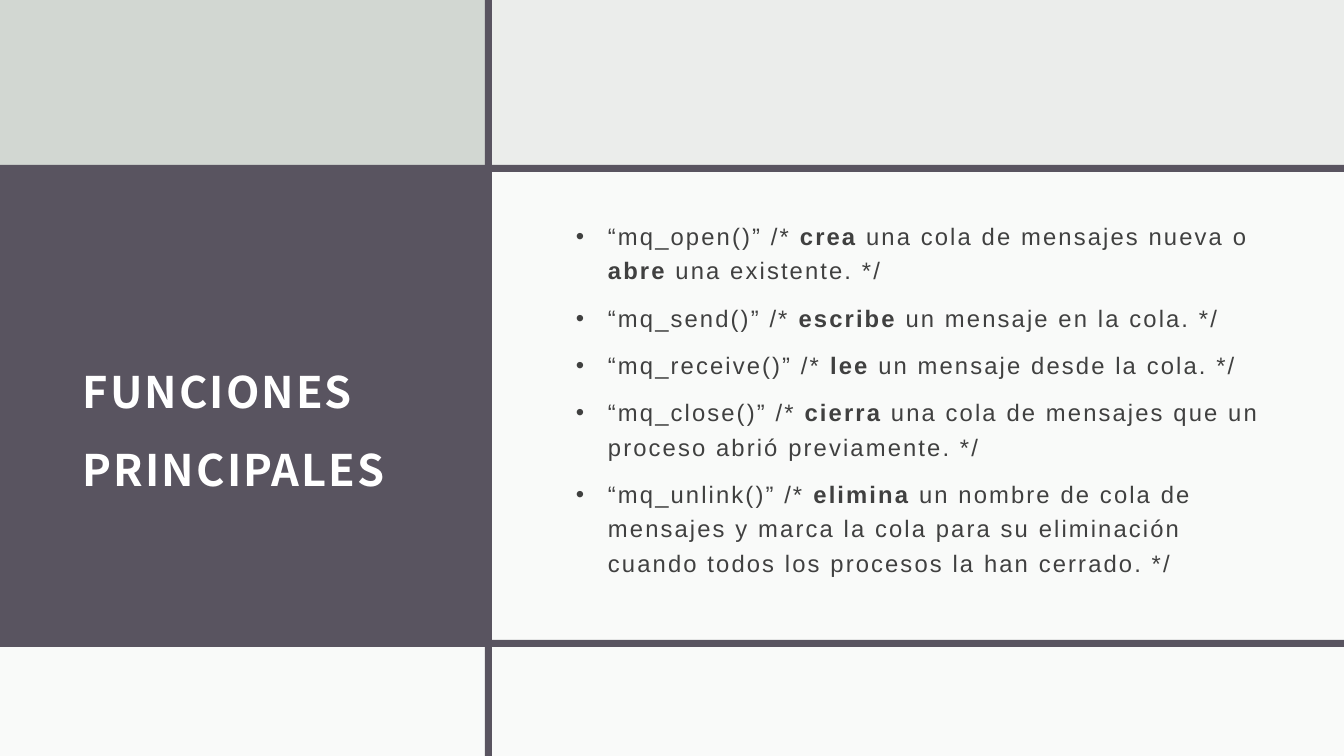
from lxml.etree import SubElement
from pptx import Presentation
from pptx.dml.color import RGBColor
from pptx.enum.shapes import MSO_SHAPE
from pptx.enum.text import MSO_ANCHOR, PP_ALIGN
from pptx.oxml.ns import qn
from pptx.util import Emu, Pt

PX = 9071  # EMU per px, 100.8 px to the inch
WIDTH, HEIGHT = 1344, 756
PLUM = RGBColor(0x59, 0x54, 0x60)
SAGE = RGBColor(0xD2, 0xD7, 0xD2)
MIST = RGBColor(0xEB, 0xED, 0xEB)
WHITE = RGBColor(0xFF, 0xFF, 0xFF)
CHARCOAL = RGBColor(0x40, 0x40, 0x40)

TITLE = "FUNCIONES PRINCIPALES"
# Each bullet is a list of runs; every second run is bold.
FUNCTIONS = [
    ["“mq_open()” /* ", "crea", " una cola de mensajes nueva o ", "abre",
     " una existente. */"],
    ["“mq_send()” /* ", "escribe", " un mensaje en la cola. */"],
    ["“mq_receive()” /* ", "lee", " un mensaje desde la cola. */"],
    ["“mq_close()” /* ", "cierra",
     " una cola de mensajes que un proceso abrió previamente. */"],
    ["“mq_unlink()” /* ", "elimina",
     " un nombre de cola de mensajes y marca la cola para su eliminación "
     "cuando todos los procesos la han cerrado. */"],
]

SPLIT, TOP, BOTTOM, BAR = 488, 167, 646, 7
PANELS = [  # left, top, width, height, colour, opacity in percent
    (0, 165, SPLIT, 482, PLUM, 100),
    (0, 0, SPLIT, TOP, SAGE, 100),
    (SPLIT, TOP, WIDTH - SPLIT, 480, WHITE, 75),
    (0, 165, WIDTH, BAR, PLUM, 100),
    (0, BOTTOM, WIDTH, HEIGHT - BOTTOM, WHITE, 75),
    (0, 640, WIDTH, BAR, PLUM, 100),
    (485, 0, BAR, HEIGHT, PLUM, 100),
]
TITLE_BOX = (71, 216, 376, 401)
BODY_BOX = (564, 216, 709, 359)
INDENT = 32


def px(n):
    return Emu(n * PX)


def add_panel(slide, left, top, width, height, color, opacity):
    s = slide.shapes.add_shape(MSO_SHAPE.RECTANGLE, *map(px, (left, top, width, height)))
    s.shadow.inherit = False
    s.fill.solid()
    s.fill.fore_color.rgb = color
    s.line.fill.background()
    if opacity < 100:
        clr = s._element.spPr.find(".//" + qn("a:srgbClr"))
        SubElement(clr, qn("a:alpha"), val=str(opacity * 1000))


def set_frame(s, box):
    s.left, s.top, s.width, s.height = map(px, box)
    tf = s.text_frame
    tf.word_wrap = True
    tf.vertical_anchor = MSO_ANCHOR.MIDDLE
    tf.margin_left = tf.margin_top = tf.margin_right = px(12)
    tf.margin_bottom = px(10)
    return tf


def add_run(p, text, font, size, color, bold):
    r = p.add_run()
    r.text = text
    r.font.name, r.font.size, r.font.bold = font, Pt(size), bold
    r.font.color.rgb = color
    rpr = r._r.get_or_add_rPr()
    rpr.set("spc", "150")
    SubElement(rpr, qn("a:ea"), typeface=font)


def add_bullet(p):
    ppr = p._p.get_or_add_pPr()
    ppr.set("marL", str(px(INDENT)))
    ppr.set("indent", str(px(-INDENT)))
    SubElement(ppr, qn("a:buFont"), typeface="Arial")
    SubElement(ppr, qn("a:buChar"), char="•")


def main():
    prs = Presentation()
    prs.slide_width, prs.slide_height = px(WIDTH), px(HEIGHT)
    slide = prs.slides.add_slide(prs.slide_layouts[5])
    slide.background.fill.solid()
    slide.background.fill.fore_color.rgb = MIST
    for panel in PANELS:
        add_panel(slide, *panel)

    title = slide.shapes.title
    slide.shapes._spTree.append(title._element)  # in front of the panels
    p = set_frame(title, TITLE_BOX).paragraphs[0]
    p.alignment = PP_ALIGN.LEFT
    p.line_spacing = 1.5
    add_run(p, TITLE, "Noto Sans CJK JP", 31, WHITE, True)

    tf = set_frame(slide.shapes.add_textbox(0, 0, 0, 0), BODY_BOX)
    for i, runs in enumerate(FUNCTIONS):
        p = tf.paragraphs[0] if i == 0 else tf.add_paragraph()
        add_bullet(p)
        p.line_spacing = 1.2
        p.space_before = Pt(9.3 if i else 0)
        for j, text in enumerate(runs):
            add_run(p, text, "Arial", 17, CHARCOAL, j % 2 == 1)

    prs.save("out.pptx")


if __name__ == "__main__":
    main()
